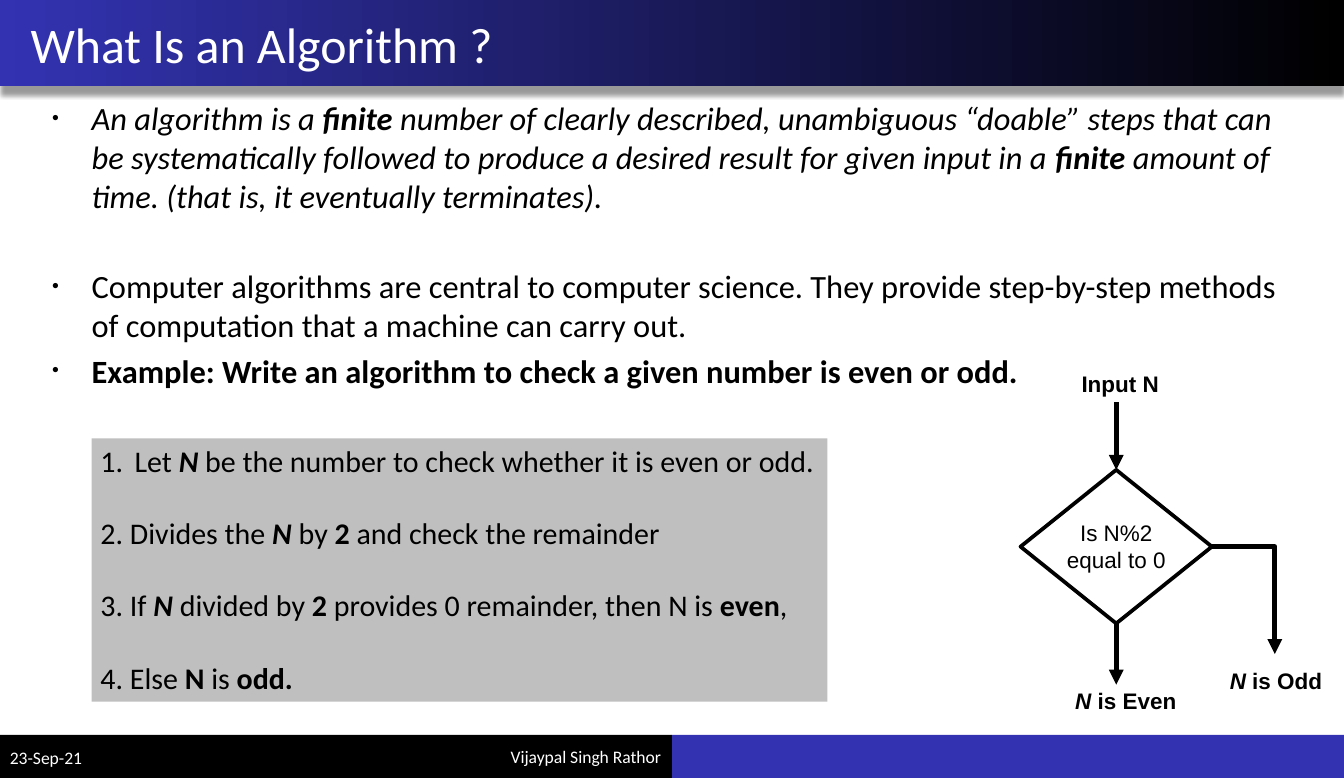
import pptx
import pptx.util
import pptx.dml.color
import pptx.enum.shapes
import pptx.enum.text
import pptx.oxml
import pptx.oxml.ns

Inches, Pt = pptx.util.Inches, pptx.util.Pt
SHAPE = pptx.enum.shapes.MSO_SHAPE
CONNECTOR = pptx.enum.shapes.MSO_CONNECTOR
ALIGN = pptx.enum.text.PP_ALIGN
ANCHOR = pptx.enum.text.MSO_ANCHOR
qn = pptx.oxml.ns.qn

# Content: each paragraph is a list of (text, style), style holding b and/or i
TITLE = "What Is an Algorithm ?"
DATE, AUTHOR = "23-Sep-21", "Vijaypal Singh Rathor"
POINTS = [
    [("An algorithm is a ", "i"), ("finite", "bi"),
     (" number of clearly described, unambiguous “doable” steps that can be "
      "systematically followed to produce a desired result for given input in a ", "i"),
     ("finite", "bi"), (" amount of time. (that is, it eventually terminates).", "i")],
    [("Computer algorithms are central to computer science. They provide "
      "step-by-step methods of computation that a machine can carry out.", "")],
    [("Example: Write an algorithm to check a given number is even or odd.", "b")],
]
POINT_GAPS = [0, 41.5, 5.2]
STEPS = [
    [("Let ", ""), ("N", "bi"), (" be the number to check whether it is even or odd.", "")],
    [("2. Divides the ", ""), ("N", "bi"), (" by ", ""), ("2", "b"),
     (" and check the remainder", "")],
    [("3. If ", ""), ("N", "bi"), (" divided by ", ""), ("2", "b"),
     (" provides 0 remainder, then N is", ""), (" even", "b"), (",", "")],
    [("4. Else ", ""), ("N", "b"), (" is ", ""), ("odd.", "b")],
]
STEP_GAPS = [0, 29, 29, 29]
FLOW_LABELS = [
    ((11.94, 4.07, 1.07, 0.4), [[("Input N", "b")]], ALIGN.LEFT),
    ((11.77, 5.73, 1.31, 0.71), [[("Is N%2", "")], [("equal to 0", "")]], ALIGN.CENTER),
    ((11.87, 7.6, 1.34, 0.4), [[("N", "bi"), (" is Even", "b")]], ALIGN.LEFT),
    ((13.59, 7.38, 1.24, 0.4), [[("N", "bi"), (" is Odd", "b")]], ALIGN.LEFT),
]
COLORS = {"black": "000000", "blue": "3333B2", "white": "FFFFFF", "gray": "BFBFBF"}
WIDTH, HEIGHT = 14.96, 8.66
HEADER_H, FOOTER_H = 0.96, 0.48
DIAMOND = (11.36, 5.23, 2.13, 1.71)
BULLET = ('<a:buSzPct {0} val="60000"/>', '<a:buFont {0} typeface="Arial"/>',
          '<a:buChar {0} char="•"/>')
NUMBER = ('<a:buFont {0} typeface="+mj-lt"/>', '<a:buAutoNum {0} type="arabicPeriod"/>')


def rgb(name):
    return pptx.dml.color.RGBColor.from_string(COLORS[name])


def inches(box):
    return [Inches(v) for v in box]


def xml(template):
    return pptx.oxml.parse_xml(template.format(pptx.oxml.ns.nsdecls("a")))


def add_block(s, kind, box, fill, line=None):
    sp = s.shapes.add_shape(kind, *inches(box))
    sp.shadow.inherit = False
    sp.fill.solid()
    sp.fill.fore_color.rgb = rgb(fill)
    if line:
        sp.line.color.rgb = rgb("black")
        sp.line.width = Pt(line)
    else:
        sp.line.fill.background()
    return sp


def write(sp, paras, size, font="Calibri", color="black", align=ALIGN.LEFT,
          gaps=None, **frame):
    tf = sp.text_frame
    frame = {"word_wrap": True, "vertical_anchor": ANCHOR.TOP,
             "auto_size": pptx.enum.text.MSO_AUTO_SIZE.NONE, **frame}
    for name, value in frame.items():
        setattr(tf, name, value)
    for i, runs in enumerate(paras):
        p = tf.paragraphs[0] if i == 0 else tf.add_paragraph()
        p.alignment = align
        p.space_before = Pt(gaps[i] if gaps else 0)
        for text, style in runs:
            r = p.add_run()
            r.text = text
            look = {"name": font, "size": Pt(size), "bold": "b" in style, "italic": "i" in style}
            for name, value in look.items():
                setattr(r.font, name, value)
            r.font.color.rgb = rgb(color)
    return tf


def hang(p, indent, marks):
    """Give a paragraph a hanging indent and a bullet or number."""
    pPr = p._p.get_or_add_pPr()
    pPr.set("marL", str(Inches(indent)))
    pPr.set("indent", str(-Inches(indent)))
    for mark in marks:
        pPr.append(xml(mark))


def add_arrow(s, kind, start, end):
    c = s.shapes.add_connector(kind, *inches(start + end))
    c.line.color.rgb = rgb("black")
    c.line.width = Pt(4)
    c.line._get_or_add_ln().append(xml('<a:tailEnd {0} type="triangle"/>'))
    c.element.spPr.append(xml("<a:effectLst {0}/>"))
    return c


def add_bars(s):
    footer_y = HEIGHT - FOOTER_H
    for x, fill in ((WIDTH / 2, "blue"), (0, "black")):
        add_block(s, SHAPE.RECTANGLE, (x, footer_y, WIDTH / 2, FOOTER_H), fill)
    header = add_block(s, SHAPE.RECTANGLE, (0, 0, WIDTH, HEADER_H), "blue")
    header.fill.gradient()
    header.fill.gradient_angle = 180
    for stop, color in zip(header.fill.gradient_stops, ("black", "blue")):
        stop.color.rgb = rgb(color)
    header.element.spPr.find(qn("a:effectLst")).append(xml(
        '<a:outerShdw {0} blurRad="50800" dist="88900" dir="5400000" rotWithShape="0">'
        '<a:srgbClr val="000000"><a:alpha val="40000"/></a:srgbClr></a:outerShdw>'))
    for box, text, align in (((1.75, 8.19, 5.73, 0.47), AUTHOR, ALIGN.RIGHT),
                             ((0, 8.2, 1.75, 0.46), DATE, ALIGN.LEFT)):
        write(s.shapes.add_textbox(*inches(box)), [[(text, "")]], 14.1, color="white",
              align=align, vertical_anchor=ANCHOR.MIDDLE,
              margin_left=Inches(0.11), margin_right=Inches(0.12))


def add_title(s):
    title = s.shapes.title
    title.left, title.top, title.width, title.height = inches((0, 0, 14.59, HEADER_H))
    write(title, [[(TITLE, "")]], 40, color="white", vertical_anchor=ANCHOR.MIDDLE,
          margin_left=Inches(0.34), margin_right=Inches(0.11))
    title.element.getparent().append(title.element)  # in front of the header bar


def add_lists(s):
    body = s.shapes.add_textbox(*inches((0.47, 1.04, 14.23, 7.16)))
    tf = write(body, POINTS, 26, gaps=POINT_GAPS,
               margin_left=Inches(0.11), margin_right=Inches(0.11))
    for p in tf.paragraphs:
        hang(p, 0.44, BULLET)
    steps = add_block(s, SHAPE.RECTANGLE, (1.02, 4.88, 8.19, 2.93), "gray")
    tf = write(steps, STEPS, 24, gaps=STEP_GAPS)
    hang(tf.paragraphs[0], 0.38, NUMBER)


def add_flowchart(s):
    x, y, w, h = DIAMOND
    mid_x, mid_y, bottom = x + w / 2, y + h / 2, y + h
    diamond = add_block(s, SHAPE.DIAMOND, DIAMOND, "white", line=3)
    add_arrow(s, CONNECTOR.STRAIGHT, (mid_x, 4.48), (mid_x, y)).end_connect(diamond, 0)
    add_arrow(s, CONNECTOR.STRAIGHT, (mid_x, bottom), (mid_x, 7.62)).begin_connect(diamond, 2)
    odd = add_arrow(s, CONNECTOR.ELBOW, (x + w, mid_y), (14.19, 7.28))
    odd.element.spPr.find(qn("a:prstGeom")).set("prst", "bentConnector2")
    for box, paras, align in FLOW_LABELS:
        write(s.shapes.add_textbox(*inches(box)), paras, 18, font="Arial",
              align=align, word_wrap=False)


def main():
    prs = pptx.Presentation()
    prs.slide_width, prs.slide_height = Inches(WIDTH), Inches(HEIGHT)
    s = prs.slides.add_slide(prs.slide_layouts.get_by_name("Title Only"))
    add_bars(s)
    add_title(s)
    add_lists(s)
    add_flowchart(s)
    prs.save("out.pptx")


if __name__ == "__main__":
    main()
